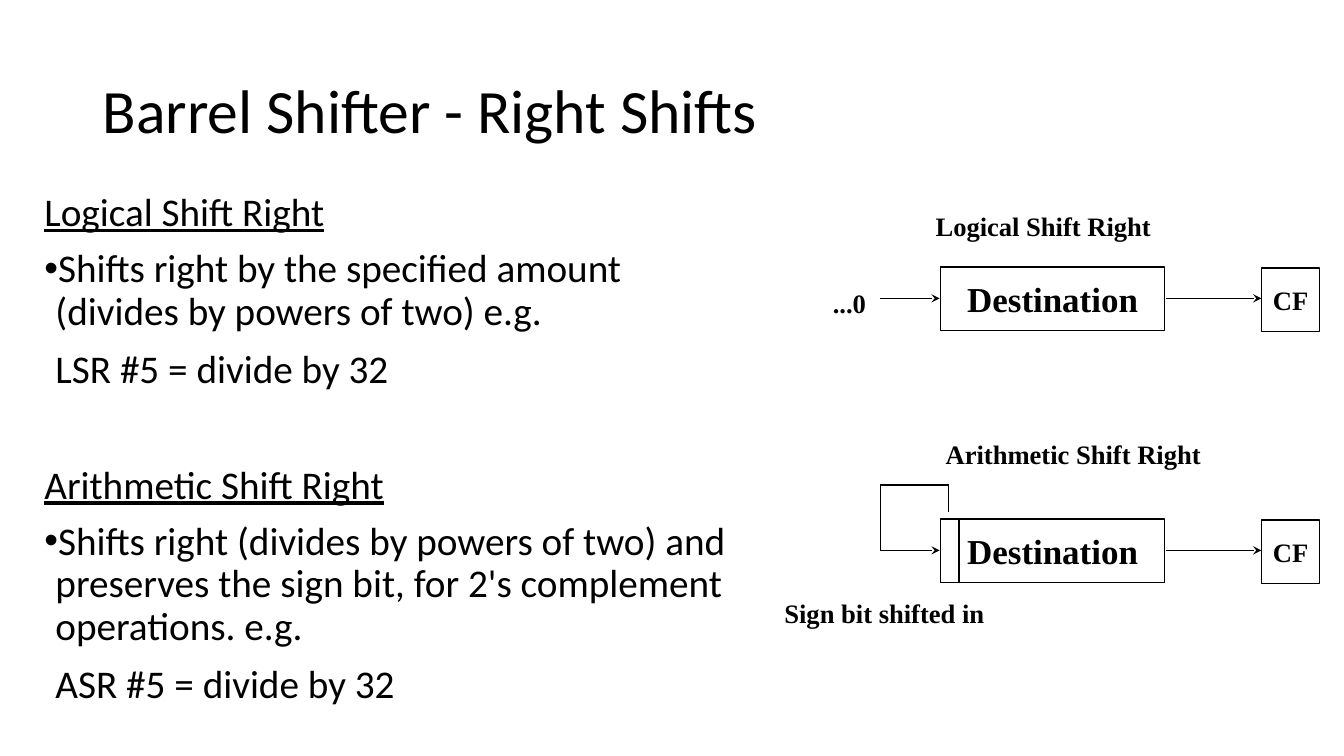
from lxml import etree
from pptx import Presentation
from pptx import util as u
from pptx.dml.color import RGBColor
from pptx.enum import shapes, text
from pptx.oxml import ns

PX = 9144
BLACK = RGBColor(0, 0, 0)
BODY_FONT = "Calibri"
DIAGRAM_FONT = "Times New Roman"

TITLE = "Barrel Shifter - Right Shifts"
BODY = [
    ("heading", "Logical Shift Right", 0),
    ("bullet", "Shifts right by the specified amount (divides by powers of two) e.g.", 10),
    ("plain", "LSR #5 = divide by 32", 12),
    ("heading", "Arithmetic Shift Right", 53),
    ("bullet", "Shifts right (divides by powers of two) and preserves the sign bit, "
               "for 2's complement operations. e.g.", 10),
    ("plain", "ASR #5 = divide by 32", 12),
]
CAPTIONS = [
    ("Logical Shift Right", 921, 205, 334),
    ("Arithmetic Shift Right", 931, 431, 294),
    ("...0", 819, 281, 53),
    ("Sign bit shifted in", 771, 589, 353),
]
DIAGRAM_TOPS = [265, 515]
BOXES = [("Destination", 933, 0, 222, 25), ("CF", 1251, 1, 58, 19)]
BOX_HEIGHT = 63
ARROWS = [(873, 932), (1156, 1251)]
ARROW_DROP = 31
SIGN_LINES = [
    (941, 508, 941, 481),
    (941, 481, 873, 481),
    (873, 481, 873, 546),
    (951, 515, 951, 578),
]


def px(*lengths):
    return [u.Emu(length * PX) for length in lengths]


def place(shape, *box):
    shape.left, shape.top, shape.width, shape.height = px(*box)


def set_insets(frame, side, end):
    frame.margin_left, frame.margin_right = px(side, side)
    frame.margin_top, frame.margin_bottom = px(end, end)


def set_font(paragraph, name, size, bold=False):
    font = paragraph.font
    font.name, font.size, font.bold = name, u.Pt(size), bold
    font.color.rgb = BLACK


def add_title(slide):
    title = slide.shapes.title
    place(title, 92, 40, 1150, 145)
    frame = title.text_frame
    frame.text = TITLE
    frame.auto_size = text.MSO_AUTO_SIZE.NONE
    frame.vertical_anchor = text.MSO_ANCHOR.MIDDLE
    paragraph = frame.paragraphs[0]
    paragraph.alignment = text.PP_ALIGN.LEFT
    paragraph.line_spacing = 0.9
    set_font(paragraph, BODY_FONT, 44)


def add_body(slide):
    body = slide.placeholders[1]
    place(body, 37, 189, 715, 534)
    frame = body.text_frame
    frame.text = "\n".join(line for _, line, _ in BODY)
    frame.auto_size = text.MSO_AUTO_SIZE.NONE
    set_insets(frame, 7, 3)
    for paragraph, (kind, _, space) in zip(frame.paragraphs, BODY):
        paragraph.line_spacing = 0.9 if kind == "bullet" else 0.88
        paragraph.space_before = u.Pt(space)
        properties = paragraph._p.get_or_add_pPr()
        properties.set("marL", str(11 * PX))
        properties.set("indent", str(0 if kind == "plain" else -11 * PX))
        if kind == "bullet":
            etree.SubElement(properties, ns.qn("a:buChar"), char="•")
        else:
            etree.SubElement(properties, ns.qn("a:buNone"))
        set_font(paragraph, BODY_FONT, 28)
        paragraph.font.underline = kind == "heading"


def add_box(slide, label, left, top, width, size):
    box = slide.shapes.add_shape(
        shapes.MSO_SHAPE.RECTANGLE, *px(left, top, width, BOX_HEIGHT))
    box.shadow.inherit = False
    box.fill.background()
    box.line.color.rgb = BLACK
    box.line.width = u.Pt(1)
    frame = box.text_frame
    frame.text = label
    frame.word_wrap = False
    frame.vertical_anchor = text.MSO_ANCHOR.MIDDLE
    paragraph = frame.paragraphs[0]
    paragraph.alignment = text.PP_ALIGN.CENTER
    set_font(paragraph, DIAGRAM_FONT, size, bold=True)


def add_line(slide, ends, arrow=False):
    line = slide.shapes.add_connector(shapes.MSO_CONNECTOR.STRAIGHT, *px(*ends))
    line.line.color.rgb = BLACK
    line.line.width = u.Pt(1)
    if arrow:
        etree.SubElement(line.line._get_or_add_ln(), ns.qn("a:tailEnd"), type="stealth")
    etree.SubElement(line._element.spPr, ns.qn("a:effectLst"))


def add_caption(slide, label, left, top, width):
    caption = slide.shapes.add_textbox(*px(left, top, width, 39))
    frame = caption.text_frame
    frame.text = label
    frame.word_wrap = True
    set_insets(frame, 7, 3)
    paragraph = frame.paragraphs[0]
    paragraph.line_spacing = 1.02
    set_font(paragraph, DIAGRAM_FONT, 19, bold=True)


def main():
    presentation = Presentation()
    presentation.slide_width, presentation.slide_height = px(1333, 750)
    slide = presentation.slides.add_slide(presentation.slide_layouts[1])
    add_title(slide)
    add_body(slide)
    for top in DIAGRAM_TOPS:
        for label, left, drop, width, size in BOXES:
            add_box(slide, label, left, top + drop, width, size)
        for start, end in ARROWS:
            add_line(slide, (start, top + ARROW_DROP, end, top + ARROW_DROP), arrow=True)
    for ends in SIGN_LINES:
        add_line(slide, ends)
    for caption in CAPTIONS:
        add_caption(slide, *caption)
    presentation.save("out.pptx")


if __name__ == "__main__":
    main()
